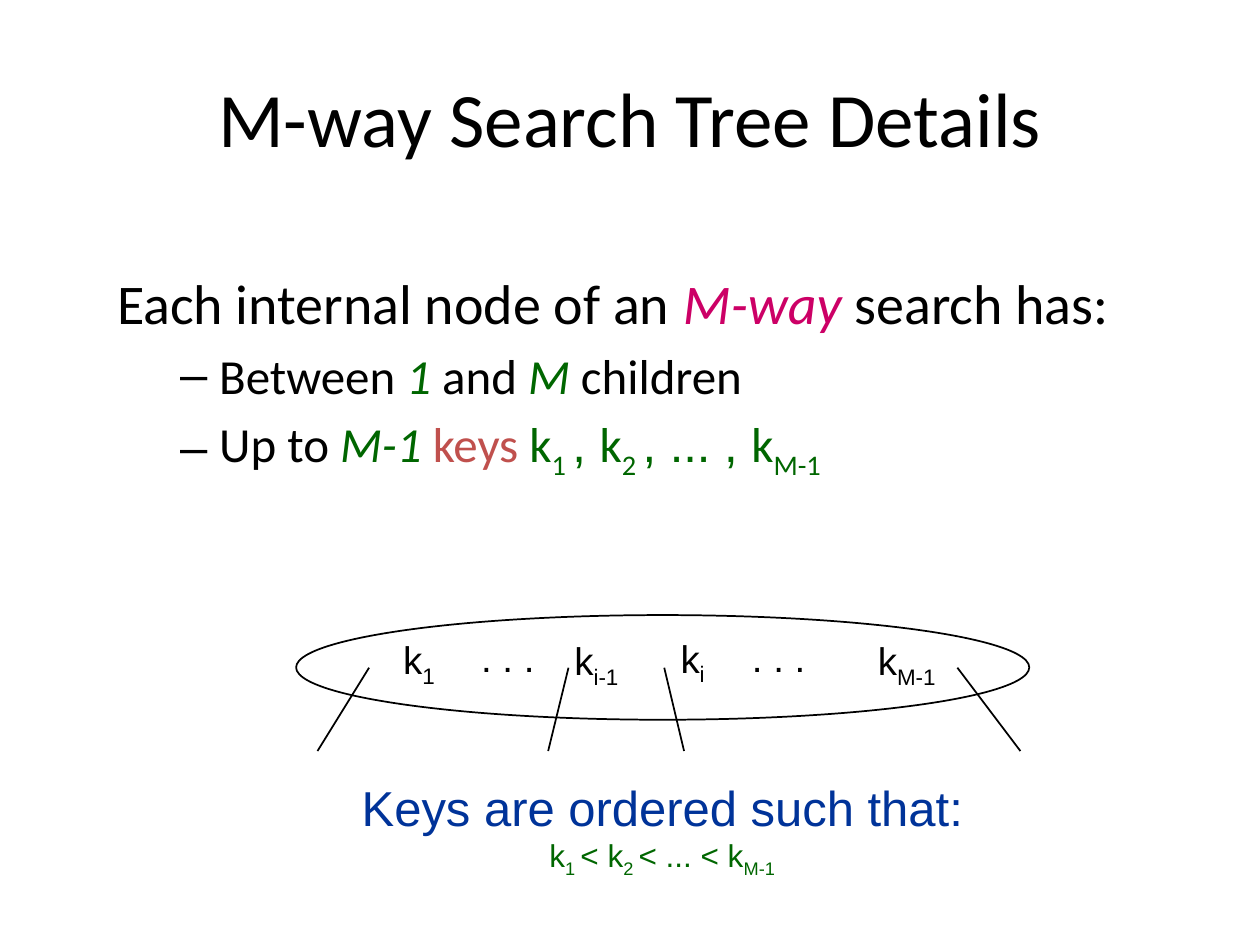
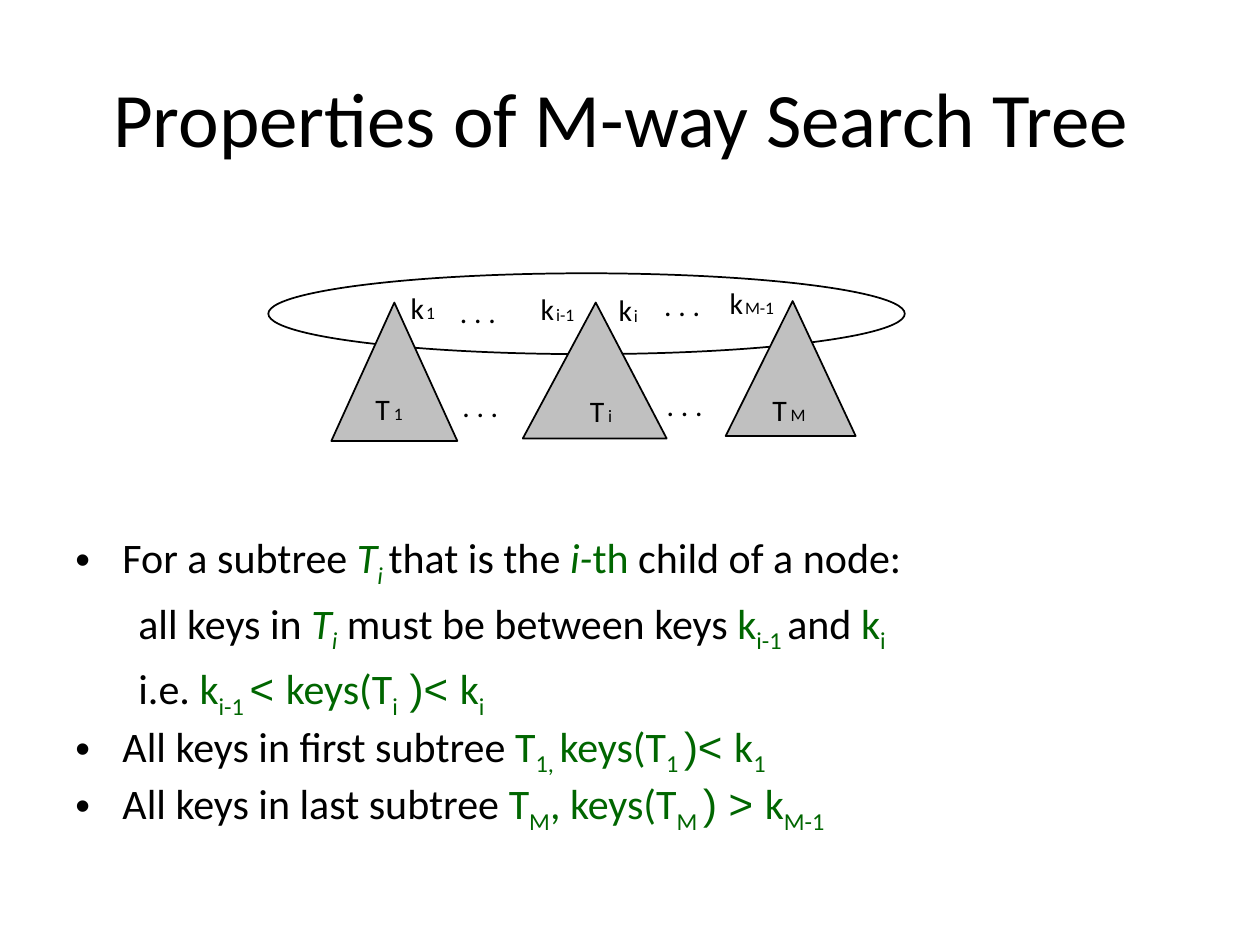
from lxml.etree import SubElement
from pptx import Presentation
from pptx.dml.color import RGBColor
from pptx.enum.shapes import MSO_CONNECTOR, MSO_SHAPE
from pptx.enum.text import MSO_ANCHOR, PP_ALIGN
from pptx.oxml.ns import qn
from pptx.util import Cm, Pt

COLOURS = {
    "black": "000000", "green": "006600", "pink": "CC0066",
    "red": "C0504D", "blue": "003399", "grey": "C0C0C0",
}
BODY_FONT, SYMBOL_FONT = "Calibri", "Arial"
# Letters used to mark a span: colours, then i = italic, _ = subscript, s = symbol font.
COLOUR_MARKS = {"g": "green", "p": "pink", "r": "red", "b": "blue"}
INDENTS = [(0.95, -0.95), (2.06, -0.79)]  # left margin and first line, by level


def colour(name):
    """Return a named colour."""
    return RGBColor.from_string(COLOURS[name])


class Slides:
    """The deck's style, and the page being built."""

    def __init__(self):
        """Open an empty 4:3 deck."""
        self.deck = Presentation()
        self.deck.slide_width, self.deck.slide_height = Cm(25.4), Cm(19.05)
        self.page = None

    def new_page(self, title):
        """Start a page with its centred title."""
        self.page = self.deck.slides.add_slide(self.deck.slide_layouts[6])
        frame = self.frame(1.27, 0.76, 22.86, 3.18)
        frame.vertical_anchor = MSO_ANCHOR.MIDDLE
        self.fill_para(frame.paragraphs[0], [(title, "")], 44, PP_ALIGN.CENTER)

    def frame(self, left, top, width, height, wrap=True):
        """Add a text box and return its text frame."""
        box = self.page.shapes.add_textbox(Cm(left), Cm(top), Cm(width), Cm(height))
        box.text_frame.word_wrap = wrap
        return box.text_frame

    def fill_para(self, para, spans, size, align=PP_ALIGN.LEFT):
        """Fill a paragraph with marked spans."""
        para.alignment = align
        for text, marks in spans:
            span = para.add_run()
            span.text = text
            font = span.font
            font.size = Pt(size)
            font.name = SYMBOL_FONT if "s" in marks else BODY_FONT
            font.italic = "i" in marks
            names = [name for mark, name in COLOUR_MARKS.items() if mark in marks]
            font.color.rgb = colour(names[0] if names else "black")
            if "_" in marks:
                span._r.get_or_add_rPr().set("baseline", "-25000")

    def body(self, place, paragraphs):
        """Add indented text from (level, bullet, size, spans) entries."""
        frame = self.frame(*place)
        for index, (level, bullet, size, spans) in enumerate(paragraphs):
            para = frame.add_paragraph() if index else frame.paragraphs[0]
            para.level = level
            para.space_before = Pt(0.2 * size * level)
            properties = para._p.get_or_add_pPr()
            margin, first_line = INDENTS[level]
            properties.set("marL", str(Cm(margin)))
            properties.set("indent", str(Cm(first_line)))
            if bullet:
                SubElement(properties, qn("a:buFont")).set("typeface", SYMBOL_FONT)
                SubElement(properties, qn("a:buChar")).set("char", bullet)
            self.fill_para(para, spans, size)

    def label(self, place, spans, size, spacing=1.0, wrap=True):
        """Add a small text without margins."""
        frame = self.frame(*place, wrap=wrap)
        frame.margin_left = frame.margin_right = 0
        frame.margin_top = frame.margin_bottom = 0
        frame.paragraphs[0].line_spacing = spacing
        self.fill_para(frame.paragraphs[0], spans, size)

    def outline(self, shape):
        """Give a shape the thin black line and no shadow."""
        shape.shadow.inherit = False
        shape.line.color.rgb = colour("black")
        shape.line.width = Pt(1)

    def node(self, left, top, width, height):
        """Add the ellipse of a tree node."""
        ellipse = self.page.shapes.add_shape(
            MSO_SHAPE.OVAL, Cm(left), Cm(top), Cm(width), Cm(height))
        ellipse.fill.background()
        self.outline(ellipse)

    def subtree(self, apex, left, right, top, bottom):
        """Add a grey triangle for a subtree."""
        builder = self.page.shapes.build_freeform(Cm(apex), Cm(top))
        builder.add_line_segments([(Cm(left), Cm(bottom)), (Cm(right), Cm(bottom))])
        triangle = builder.convert_to_shape()
        triangle.fill.solid()
        triangle.fill.fore_color.rgb = colour("grey")
        self.outline(triangle)

    def branch(self, start, end, top=13.46, bottom=15.14):
        """Add a line from a node down to a child."""
        line = self.page.shapes.add_connector(
            MSO_CONNECTOR.STRAIGHT, Cm(start), Cm(top), Cm(end), Cm(bottom))
        line.line.color.rgb = colour("black")
        line.line.width = Pt(1)
        SubElement(line._element.spPr, qn("a:effectLst"))


def details_page(slides):
    """Build the page on the keys of one node."""
    slides.new_page("M-way Search Tree Details")
    slides.body((2.11, 5.28, 22.71, 5.59), [
        (0, None, 32, [("Each internal node of an ", ""), ("M-way", "pi"),
                       (" search has:", "")]),
        (1, "–", 28, [("Between ", ""), ("1", "gi"), (" and ", ""), ("M ", "gi"),
                      ("children", "")]),
        (1, "–", 28, [("Up to ", ""), ("M-1 ", "gi"), ("keys ", "r"), ("k", "g"),
                      ("1 ", "g_"), (", ", "gs"), ("k", "g"), ("2 ", "g_"),
                      (", ... , ", "gs"), ("k", "g"), ("M-1", "g_")]),
    ])

    caption = slides.frame(7.04, 15.54, 12.62, 2.46)
    slides.fill_para(caption.paragraphs[0], [("Keys are ordered such that:", "bs")],
                     28, PP_ALIGN.CENTER)
    slides.fill_para(caption.add_paragraph(), [
        ("k", "gs"), ("1 ", "gs_"), ("< k", "gs"), ("2 ", "gs_"),
        ("< ... < k", "gs"), ("M-1", "gs_")], 18, PP_ALIGN.CENTER)

    slides.node(5.97, 12.4, 14.78, 2.11)
    for left, top, width, index in [
            (8.13, 12.88, 0.81, "1"), (11.58, 12.9, 1.35, "i-1"),
            (13.72, 12.85, 0.71, "i"), (17.7, 12.9, 1.3, "M-1")]:
        slides.label((left, top, width, 1.12), [("k", "s"), (index, "s_")], 22, 0.85)
    for left in (9.7, 15.16):
        slides.label((left, 12.93, 1.17, 0.86), [(". . .", "s")], 22, 0.85)
    for start, end in [(7.44, 6.4), (11.46, 11.05), (13.39, 13.79), (19.3, 20.57)]:
        slides.branch(start, end)


def properties_page(slides):
    """Build the page on the order of keys in subtrees."""
    slides.new_page("Properties of M-way Search Tree ")
    slides.body((1.27, 10.59, 22.4, 5.79), [
        (0, "•", 24, [("For a subtree ", ""), ("T", "gi"), ("i ", "gi_"),
                      ("that is the ", ""), ("i-", "gi"), ("th ", "g"),
                      ("child of a node:", "")]),
        (1, None, 24, [("all keys in ", ""), ("T", "gi"), ("i", "gi_"),
                       (" must be between keys ", ""), ("k", "g"), ("i-1 ", "g_"),
                       ("and ", ""), ("k", "g"), ("i", "g_")]),
        (1, None, 24, [("i.e. ", ""), ("k", "g"), ("i-1 ", "g_"), ("< ", "gs"),
                       ("keys(T", "g"), ("i", "g_"), (" )< ", "gs"), ("k", "g"),
                       ("i", "g_")]),
        (0, "•", 24, [("All keys in first subtree ", ""), ("T", "g"), ("1, ", "g_"),
                      ("keys(T", "g"), ("1 ", "g_"), (")< ", "gs"), ("k", "g"),
                      ("1", "g_")]),
        (0, "•", 24, [("All keys in last subtree ", ""), ("T", "g"), ("M", "g_"),
                      (", keys(T", "g"), ("M ", "g_"), (") > ", "gs"), ("k", "g"),
                      ("M-1", "g_")]),
    ])

    slides.node(5.41, 5.51, 12.83, 1.63)
    slides.subtree(12.01, 10.54, 13.44, 6.1, 8.84)
    slides.subtree(15.98, 14.63, 17.25, 6.07, 8.79)
    slides.subtree(7.95, 6.68, 9.22, 6.1, 8.89)

    letter_widths = {"k": 0.31, "T": 0.37}
    index_widths = {"1": 0.18, "i": 0.1, "i-1": 0.38, "M": 0.3, "M-1": 0.61}
    for letter, index, left, top in [
            ("k", "1", 8.28, 5.84), ("k", "i-1", 10.9, 5.87),
            ("k", "i", 12.47, 5.89), ("k", "M-1", 14.71, 5.74),
            ("T", "1", 7.57, 7.87), ("T", "i", 11.89, 7.92), ("T", "M", 15.57, 7.9)]:
        width = letter_widths[letter]
        slides.label((left, top, width, 0.71), [(letter, "")], 17, wrap=False)
        slides.label((left + width, top + 0.25, index_widths[index], 0.43),
                     [(index, "")], 10, wrap=False)
    for left, top in [(9.27, 5.92), (13.39, 5.79), (9.32, 7.82), (13.44, 7.8)]:
        slides.label((left, top, 0.89, 0.71), [(". . .", "")], 17, wrap=False)


slides = Slides()
details_page(slides)
properties_page(slides)
slides.deck.save("out.pptx")
